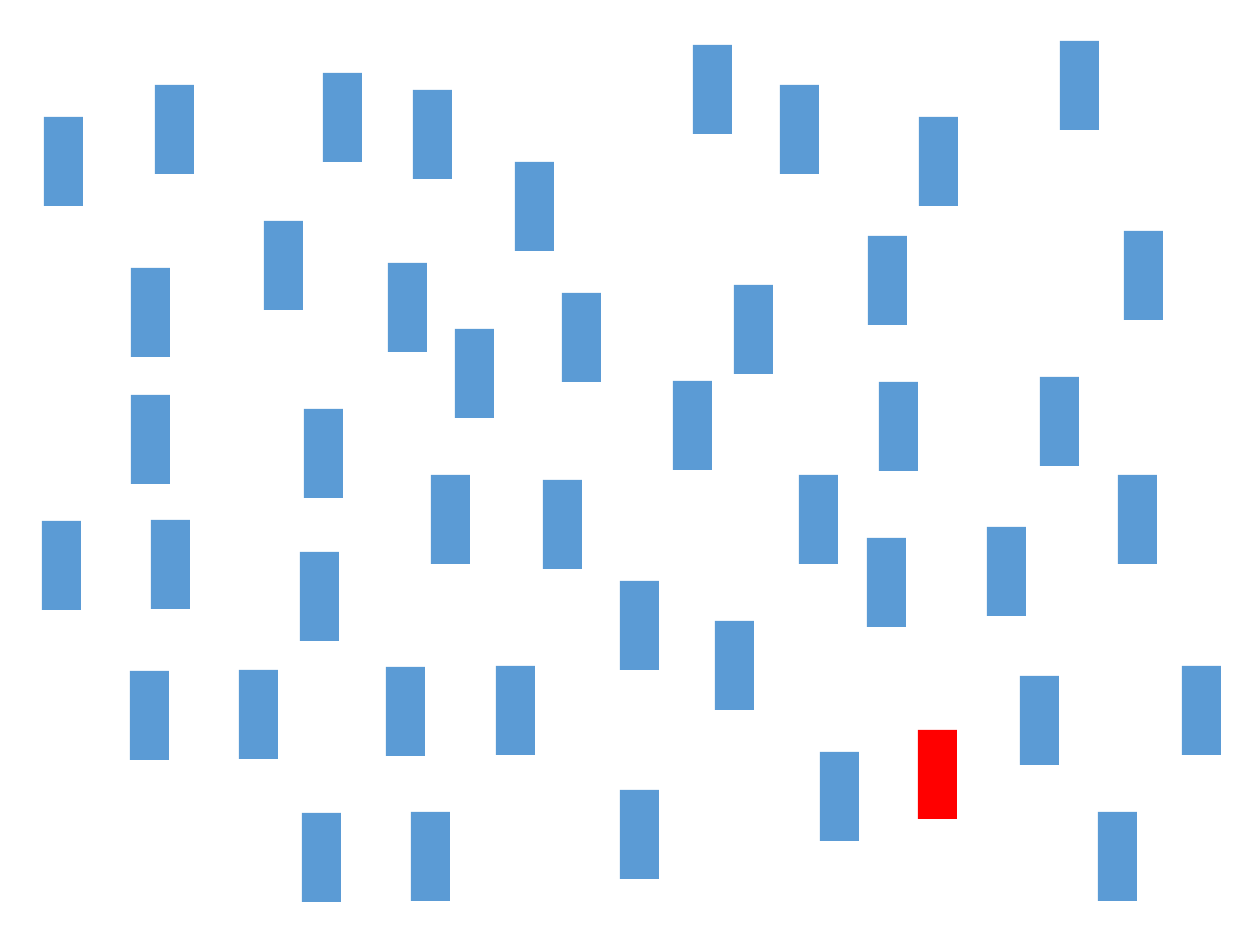
import pptx
import pptx.util
import pptx.dml.color
import pptx.enum.shapes

SCALE = 914400 / 126
WIDE, HIGH = 1260, 945
BAR = (39, 89)
BLUE, RED = "5B9BD5", "FF0000"
TARGET = (918, 730)
OTHERS = [
    (799, 475), (543, 480), (734, 285), (455, 329), (715, 621), (496, 666),
    (239, 670), (431, 475), (151, 520), (411, 812), (1124, 231), (868, 236),
    (1060, 41), (780, 85), (1040, 377), (388, 263), (131, 268), (323, 73),
    (44, 117), (304, 409), (879, 382), (820, 752), (693, 45), (413, 90),
    (673, 381), (1182, 666), (1020, 676), (1118, 475), (867, 538), (1098, 812),
    (386, 667), (130, 671), (300, 552), (42, 521), (302, 813), (620, 790),
    (264, 221), (515, 162), (131, 395), (562, 293), (620, 581), (987, 527),
    (919, 117), (155, 85),
]


def px(count):
    return pptx.util.Emu(round(count * SCALE))


def tint(fill, code):
    fill.solid()
    fill.fore_color.rgb = pptx.dml.color.RGBColor.from_string(code)


def add_bar(slide, spot, code):
    kind = pptx.enum.shapes.MSO_SHAPE.RECTANGLE
    bar = slide.shapes.add_shape(kind, *map(px, spot + BAR))
    bar.shadow.inherit = False
    tint(bar.fill, code)
    bar.line.fill.background()


def main():
    deck = pptx.Presentation()
    deck.slide_width, deck.slide_height = px(WIDE), px(HIGH)
    slide = deck.slides.add_slide(deck.slide_layouts[6])
    tint(slide.background.fill, "FFFFFF")
    for spot in OTHERS:
        add_bar(slide, spot, BLUE)
    add_bar(slide, TARGET, RED)
    deck.save("out.pptx")


if __name__ == "__main__":
    main()
